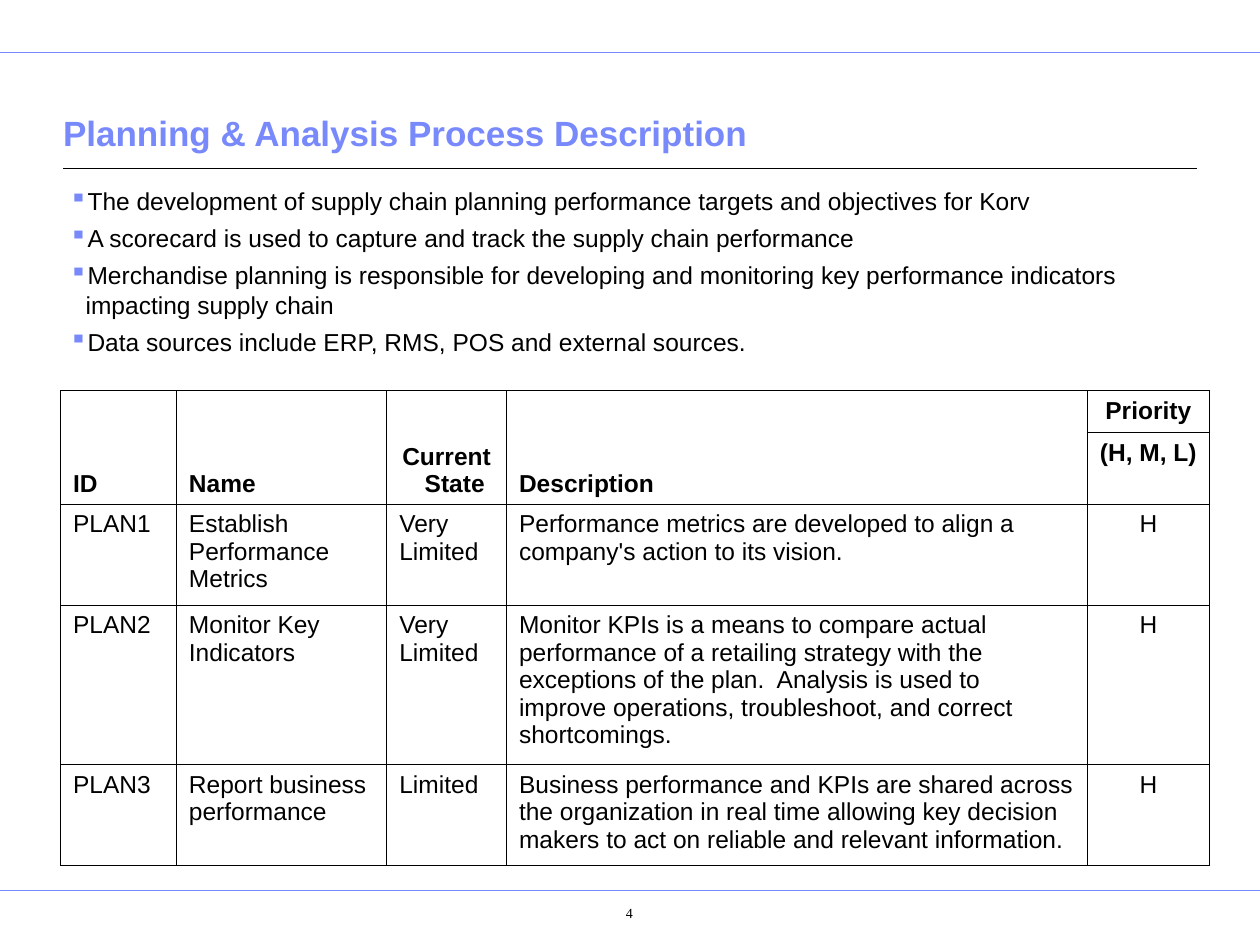
import pptx
import pptx.dml.color
import pptx.enum.shapes
import pptx.enum.text
import pptx.oxml
import pptx.oxml.ns
import pptx.util
from pptx.util import Inches

ALIGN = pptx.enum.text.PP_ALIGN
ANCHOR = pptx.enum.text.MSO_ANCHOR

THEME = {
    "accent": "7889FB", "ink": "000000", "paper": "FFFFFF",
    "sans": "Arial", "serif": "Times New Roman",
    "title": 20, "body": 14, "number": 8,
    "border": 0.45,
}

TITLE = "Planning & Analysis Process Description"
BULLETS = [
    "The development of supply chain planning performance targets and objectives for Korv",
    "A scorecard is used to capture and track the supply chain performance",
    "Merchandise planning is responsible for developing and monitoring key performance "
    "indicators impacting supply chain",
    "Data sources include ERP, RMS, POS and external sources.",
]
HEADER_ROWS = [
    ["ID", "Name", "Current State", "Description", "Priority"],
    ["", "", "", "", "(H, M, L)"],
]
PROCESS_ROWS = [
    ["PLAN1", "Establish Performance Metrics", "Very Limited",
     "Performance metrics are developed to align a company's action to its vision.", "H"],
    ["PLAN2", "Monitor Key Indicators", "Very Limited",
     "Monitor KPIs is a means to compare actual performance of a retailing strategy with "
     "the exceptions of the plan.  Analysis is used to improve operations, troubleshoot, "
     "and correct shortcomings.", "H"],
    ["PLAN3", "Report business performance", "Limited",
     "Business performance and KPIs are shared across the organization in real time "
     "allowing key decision makers to act on reliable and relevant information.", "H"],
]
PAGE_NUMBER = "4"

# left, right, height on the page, colour, weight in points
RULES = [
    (0, 10, 0.42, "accent", 0.5),
    (0, 10, 7.07, "accent", 0.5),
    (0.5, 9.5, 1.34, "ink", 0.75),
]
COLUMN_WIDTHS = [0.92, 1.67, 0.95, 4.61, 0.97]
ROW_HEIGHTS = [0.32, 0.54, 0.76, 1.2, 0.76]
STATE_COLUMN, PRIORITY_COLUMN = 2, 4
HANGING = 0.13


def color(name):
    return pptx.dml.color.RGBColor.from_string(THEME[name])


def xml(markup):
    namespace = pptx.oxml.ns.nsdecls("a")
    return pptx.oxml.parse_xml(markup.replace(">", f" {namespace}>", 1)
                               if "/>" not in markup.split(">")[0] + ">"
                               else markup.replace("/>", f" {namespace}/>", 1))


def style(para, size, face="sans", ink="ink", bold=False, align=ALIGN.LEFT):
    para.alignment = align
    for span in para.runs:
        span.font.name = THEME[face]
        span.font.size = pptx.util.Pt(THEME[size])
        span.font.bold = bold
        span.font.color.rgb = color(ink)


def indent(para, left, first=0):
    properties = para._p.get_or_add_pPr()
    properties.set("marL", str(Inches(left)))
    properties.set("indent", str(Inches(first)))
    return properties


def set_insets(frame, left, top, right, bottom):
    frame.margin_left, frame.margin_top = Inches(left), Inches(top)
    frame.margin_right, frame.margin_bottom = Inches(right), Inches(bottom)
    frame.word_wrap = True


def add_rule(page, left, right, height, ink, weight):
    rule = page.shapes.add_connector(
        pptx.enum.shapes.MSO_CONNECTOR.STRAIGHT,
        Inches(left), Inches(height), Inches(right), Inches(height))
    rule.line.color.rgb = color(ink)
    rule.line.width = pptx.util.Pt(weight)
    rule._element.spPr.append(xml("<a:effectLst/>"))


def add_title(page):
    title = page.shapes.title
    title.left, title.top = Inches(0.5), Inches(0.64)
    title.width, title.height = Inches(9), Inches(0.63)
    frame = title.text_frame
    frame.text = TITLE
    frame.auto_size = pptx.enum.text.MSO_AUTO_SIZE.NONE
    frame.vertical_anchor = ANCHOR.BOTTOM
    set_insets(frame, 0, 0.05, 0, 0.05)
    style(frame.paragraphs[0], "title", ink="accent", bold=True)


def add_bullets(page):
    box = page.shapes.add_textbox(Inches(0.5), Inches(1.42), Inches(9), Inches(1.55))
    frame = box.text_frame
    set_insets(frame, 0.05, 0.05, 0.05, 0.05)
    for index, text in enumerate(BULLETS):
        para = frame.add_paragraph() if index else frame.paragraphs[0]
        para.text = text
        properties = indent(para, HANGING, -HANGING)
        properties.append(xml(f'<a:buClr><a:srgbClr val="{THEME["accent"]}"/></a:buClr>'))
        properties.append(xml('<a:buChar char="▪"/>'))
        para.line_spacing = 1.04
        para.space_before = pptx.util.Pt(3.5 if index else 0)
        style(para, "body")


def format_cell(cell, text, column, header):
    properties = cell._tc.get_or_add_tcPr()
    for side in "LRTB":
        properties.append(xml(
            f'<a:ln{side} w="{pptx.util.Pt(THEME["border"])}"><a:solidFill>'
            f'<a:srgbClr val="{THEME["ink"]}"/></a:solidFill></a:ln{side}>'))
    cell.fill.solid()
    cell.fill.fore_color.rgb = color("paper")
    cell.margin_left = cell.margin_right = Inches(0.1)
    cell.margin_top = cell.margin_bottom = Inches(0.05)
    bottom = header and column != PRIORITY_COLUMN
    cell.vertical_anchor = ANCHOR.BOTTOM if bottom else ANCHOR.TOP
    if not text:
        return
    cell.text_frame.text = text
    para = cell.text_frame.paragraphs[0]
    if header or column in (0, PRIORITY_COLUMN):
        indent(para, HANGING, -HANGING)
    centred = column == PRIORITY_COLUMN or (header and column == STATE_COLUMN)
    style(para, "body", bold=header, align=ALIGN.CENTER if centred else ALIGN.LEFT)


def add_process_table(page):
    rows = HEADER_ROWS + PROCESS_ROWS
    table = page.shapes.add_table(
        len(rows), len(COLUMN_WIDTHS), Inches(0.48), Inches(3.1),
        Inches(sum(COLUMN_WIDTHS)), Inches(sum(ROW_HEIGHTS))).table
    table.first_row = table.horz_banding = False
    for column, width in zip(table.columns, COLUMN_WIDTHS):
        column.width = Inches(width)
    for row, height in zip(table.rows, ROW_HEIGHTS):
        row.height = Inches(height)
    for row, texts in enumerate(rows):
        for column, text in enumerate(texts):
            format_cell(table.cell(row, column), text, column, row < len(HEADER_ROWS))
    for column in range(PRIORITY_COLUMN):
        table.cell(0, column).merge(table.cell(1, column))


def add_page_number(page):
    box = page.shapes.add_textbox(Inches(4.27), Inches(7.11), Inches(1.15), Inches(0.35))
    set_insets(box.text_frame, 0.16, 0.07, 0.1, 0.05)
    box.text_frame.text = PAGE_NUMBER
    para = box.text_frame.paragraphs[0]
    indent(para, 0.24)
    style(para, "number", face="serif", align=ALIGN.CENTER)


def main():
    deck = pptx.Presentation()
    deck.slide_width, deck.slide_height = Inches(10), Inches(7.5)
    page = deck.slides.add_slide(deck.slide_layouts[5])
    for rule in RULES:
        add_rule(page, *rule)
    add_title(page)
    add_bullets(page)
    add_process_table(page)
    add_page_number(page)
    deck.save("out.pptx")


if __name__ == "__main__":
    main()
